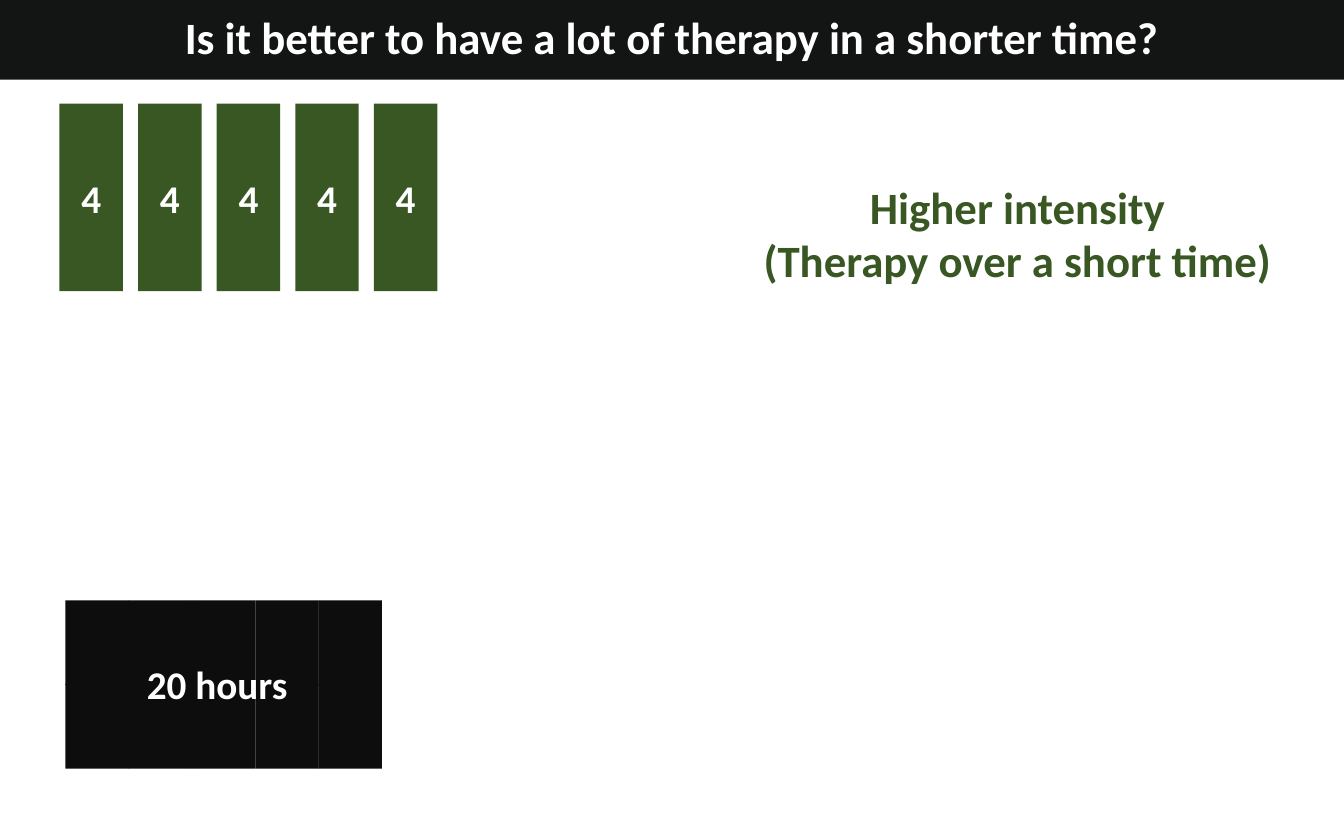
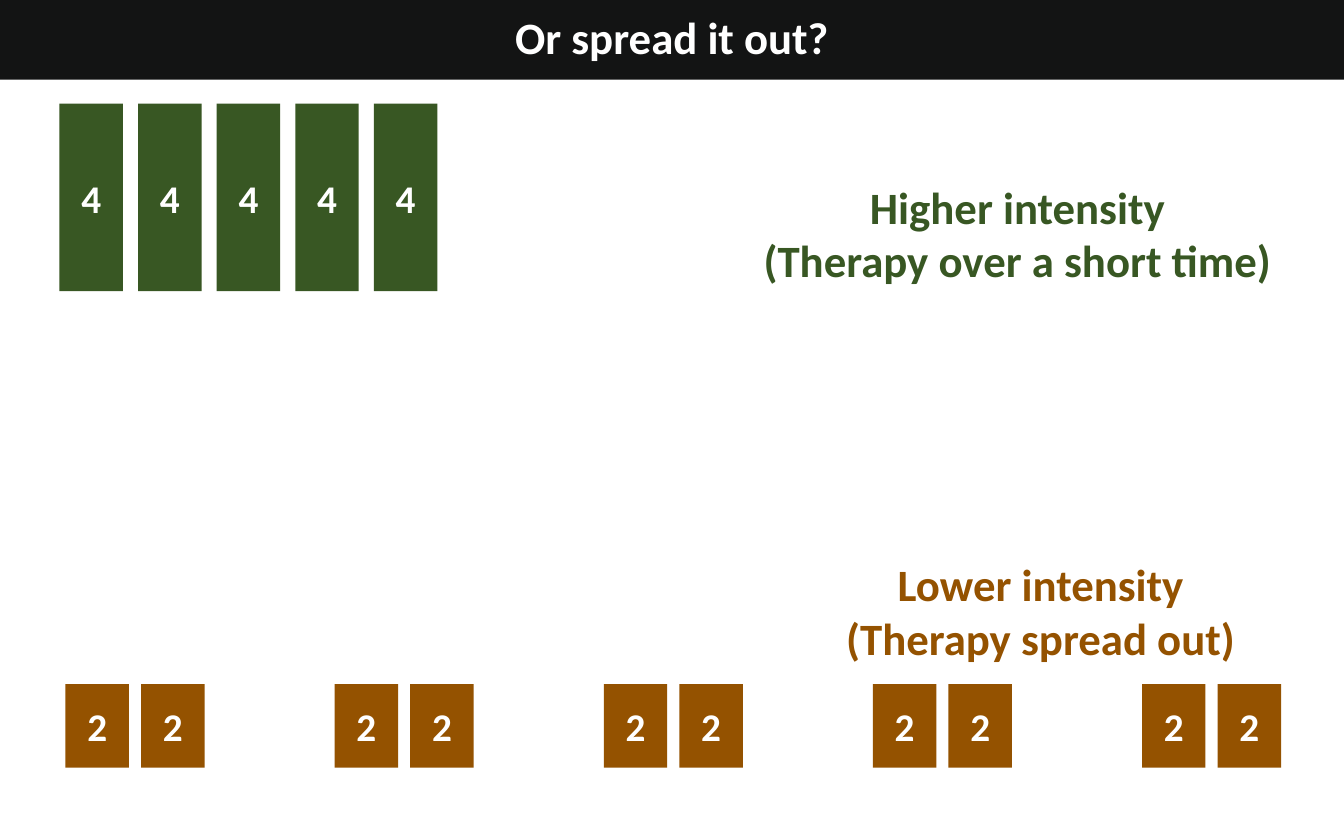
import pptx
import pptx.dml.color
import pptx.enum.shapes
import pptx.enum.text
import pptx.util

Inches = pptx.util.Inches
ALIGN = pptx.enum.text.PP_ALIGN
ANCHOR = pptx.enum.text.MSO_ANCHOR

SLIDE_WIDTH, SLIDE_HEIGHT = 40 / 3, 21 / 2.54
BAND, GREEN, BROWN, BLACK, WHITE = "131414", "385723", "945200", "0D0D0D", "FFFFFF"
BAR_WIDTH, HOUR_HEIGHT = 0.63, 0.83
TITLE_FORMAT = {"size": pptx.util.Pt(32), "name": "Calibri", "bold": True}
NUMBER_FORMAT = {**TITLE_FORMAT, "size": pptx.util.Pt(28)}


def color(hex_value):
    return pptx.dml.color.RGBColor.from_string(hex_value)


def write_text(shape, lines, text_color, font_format, line_spacing=1.0):
    frame = shape.text_frame
    frame.text = "\n".join(lines)
    for paragraph in frame.paragraphs:
        paragraph.alignment = ALIGN.CENTER
        paragraph.line_spacing = line_spacing
        for name, value in font_format.items():
            setattr(paragraph.font, name, value)
        paragraph.font.color.rgb = color(text_color)


def add_block(slide, box, fill):
    shape = slide.shapes.add_shape(
        pptx.enum.shapes.MSO_SHAPE.RECTANGLE, *map(Inches, box))
    shape.shadow.inherit = False
    shape.fill.solid()
    shape.fill.fore_color.rgb = color(fill)
    shape.line.fill.background()
    shape.text_frame.vertical_anchor = ANCHOR.MIDDLE
    return shape


def add_bar(slide, box, fill, number):
    bar = add_block(slide, box, fill)
    for side in ("left", "right", "top", "bottom"):
        setattr(bar.text_frame, f"margin_{side}", 0)
    write_text(bar, [number], WHITE, NUMBER_FORMAT)


def add_label(slide, box, lines, text_color, font_format):
    label = slide.shapes.add_textbox(*map(Inches, box))
    label.text_frame.word_wrap = False
    write_text(label, lines, text_color, font_format)


def add_title_band(slide, title):
    band = add_block(slide, (0, 0, SLIDE_WIDTH, 0.79), BAND)
    band.text_frame.word_wrap = True
    write_text(band, [title], WHITE, TITLE_FORMAT, 0.9)


def add_higher_intensity(slide, left, top):
    for day in range(5):
        add_bar(slide, (left + day * 0.78, top, BAR_WIDTH, 1.86), GREEN, "4")
    add_label(slide, (left + 6.86, top + 0.7, 5.29, 1.18),
              ["Higher intensity", "(Therapy over a short time)"], GREEN, TITLE_FORMAT)


def add_lower_intensity(slide, left, top):
    for week in range(5):
        for session in range(2):
            bar_left = left + week * 2.67 + session * 0.75
            add_bar(slide, (bar_left, top, BAR_WIDTH, HOUR_HEIGHT), BROWN, "2")
    add_label(slide, (left + 7.63, top - 1.31, 4.09, 1.18),
              ["Lower intensity", "(Therapy spread out)"], BROWN, TITLE_FORMAT)


def add_total_hours(slide, left, top):
    column_step = 2.51 / 4
    for row in range(2):
        for column in range(5):
            add_block(slide, (left + column * column_step, top + row * HOUR_HEIGHT,
                              BAR_WIDTH, HOUR_HEIGHT + 0.01), BLACK)
    add_label(slide, (left + 0.7, top + 0.54, 1.61, 0.57),
              ["20 hours"], WHITE, NUMBER_FORMAT)


def add_therapy_slide(presentation, title, add_lower_region, lower_top):
    slide = presentation.slides.add_slide(presentation.slide_layouts[6])
    add_title_band(slide, title)
    add_higher_intensity(slide, 0.59, 1.03)
    add_lower_region(slide, 0.65, lower_top)


def main():
    presentation = pptx.Presentation()
    presentation.slide_width = Inches(SLIDE_WIDTH)
    presentation.slide_height = Inches(SLIDE_HEIGHT)
    add_therapy_slide(presentation, "Is it better to have a lot of therapy in a shorter time?",
                      add_total_hours, 5.96)
    add_therapy_slide(presentation, "Or spread it out?", add_lower_intensity, 6.79)
    presentation.save("out.pptx")


if __name__ == "__main__":
    main()
